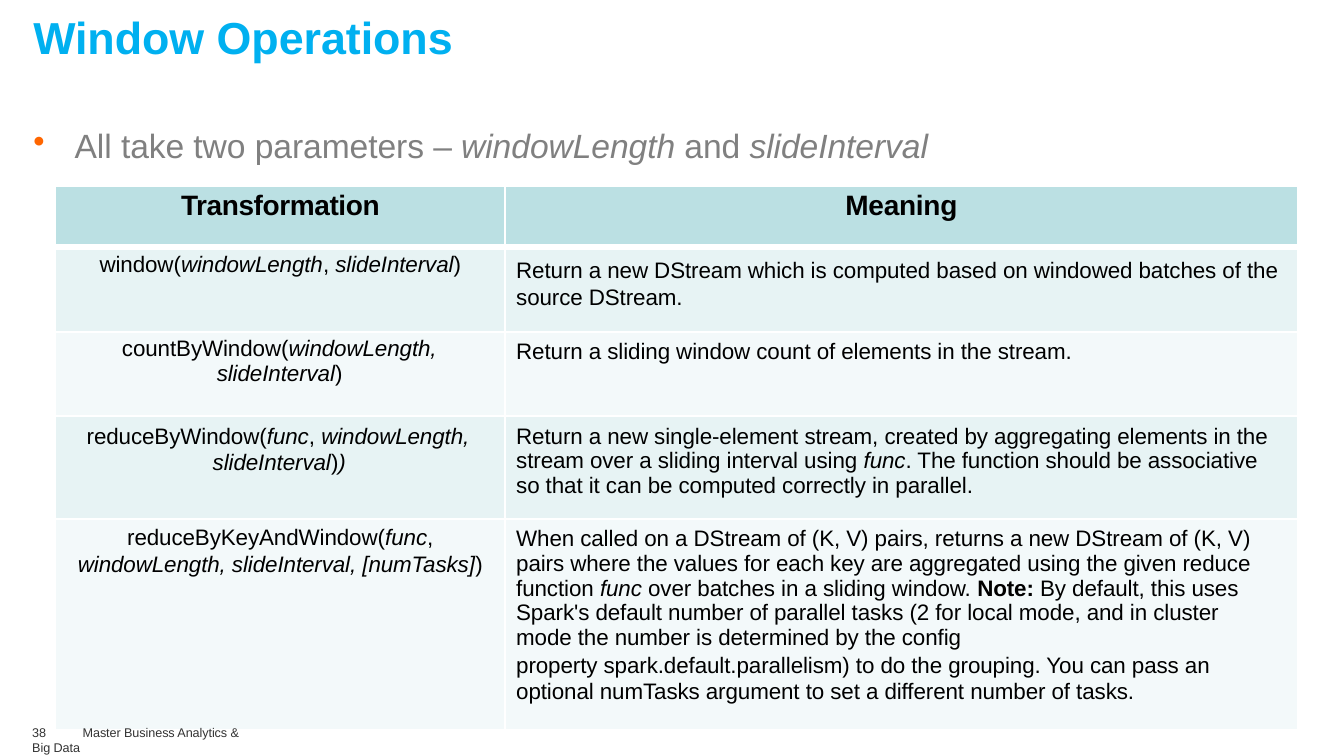
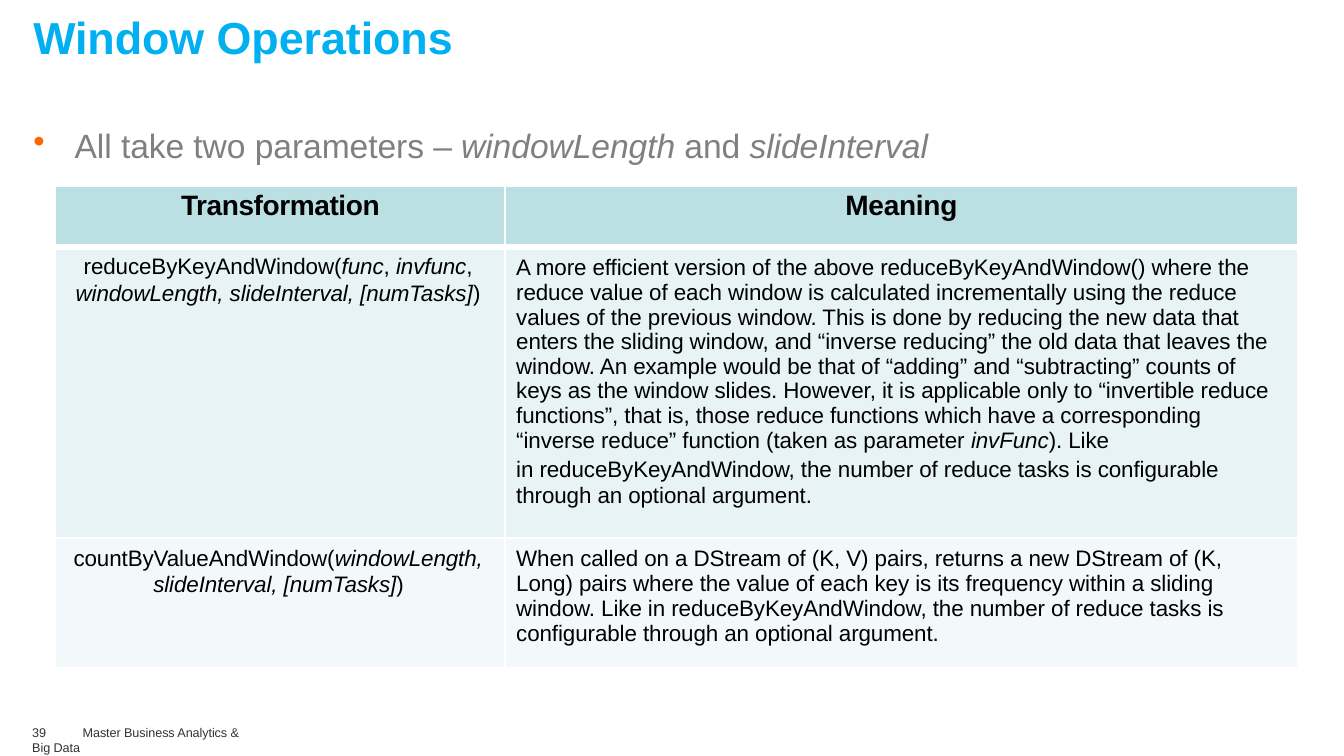
from dataclasses import dataclass

from lxml.etree import SubElement
from pptx import Presentation
from pptx.dml.color import RGBColor
from pptx.enum.text import PP_ALIGN as Align
from pptx.oxml.ns import qn
from pptx.util import Inches, Length, Pt


@dataclass(frozen=True)
class Theme:
    font: str = "Arial"
    title: str = "00B0F0"
    lead: str = "808080"
    bullet: str = "FF6600"
    body: str = "000000"
    footer: str = "333333"
    header_fill: str = "BBE0E3"
    row_fills: tuple[str, str] = ("E7F3F4", "F3F9FA")
    border: str = "FFFFFF"
    title_size: float = 32
    lead_size: float = 24
    header_size: float = 20
    body_size: float = 16
    footer_size: float = 9
    thin: float = 1.5
    thick: float = 4.25


THEME = Theme()
EXACT = Pt(19)


@dataclass(frozen=True)
class Line:
    """A paragraph; *stars* mark italic and _underscores_ mark bold text."""
    text: str
    spacing: float | Length | None = None
    before: float = 0


@dataclass(frozen=True)
class Cell:
    lines: tuple[Line, ...]
    top: float
    left: float = 0
    first: float = 0
    right: float = 0
    align: Align = Align.LEFT


@dataclass(frozen=True)
class Row:
    height: float
    transformation: Cell
    meaning: Cell


@dataclass(frozen=True)
class Page:
    number: int
    rows: tuple[Row, ...]


def call(*lines: Line, top: float = 0.05, left: float = 0, first: float = 0) -> Cell:
    """A signature: centred unless it has its own indent."""
    return Cell(lines, top, left, first, align=Align.LEFT if left else Align.CENTER)


def meaning(*lines: Line, top: float = 0.08, right: float = 0.2) -> Cell:
    return Cell(lines, top, left=0.11, right=right)


PAGES = (
    Page(38, (
        Row(0.84, call(Line("window(*windowLength*, *slideInterval*)")),
            meaning(Line("Return a new DStream which is computed based on windowed batches "
                         "of the source DStream.", EXACT), top=0.1, right=0.1)),
        Row(0.84, call(Line("countByWindow(*windowLength, slideInterval*)"),
                       left=1.6, first=-0.94),
            meaning(Line("Return a sliding window count of elements in the stream."))),
        Row(1.02, call(Line("reduceByWindow(*func*, *windowLength, slideInterval*)*)*", EXACT),
                       top=0.06, left=1.56, first=-1.25),
            meaning(Line("Return a new single-element stream, created by aggregating elements "
                         "in the stream over a sliding interval using *func*. The function "
                         "should be associative so that it can be computed correctly in "
                         "parallel.", 0.99))),
        Row(2.09, call(Line("reduceByKeyAndWindow(*func*,", EXACT),
                       Line("*windowLength, slideInterval, [numTasks]*)", EXACT)),
            meaning(Line("When called on a DStream of (K, V) pairs, returns a new DStream of "
                         "(K, V) pairs where the values for each key are aggregated using the "
                         "given reduce function *func* over batches in a sliding window. "
                         "_Note:_ By default, this uses Spark's default number of parallel "
                         "tasks (2 for local mode, and in cluster mode the number is "
                         "determined by the config", 0.99),
                    Line("property spark.default.parallelism) to do the grouping. You can pass "
                         "an optional numTasks argument to set a different number of tasks.",
                         EXACT, before=0.6))),
    )),
    Page(39, (
        Row(2.89, call(Line("reduceByKeyAndWindow(*func*, *invfunc*, "
                            "*windowLength, slideInterval, [numTasks]*)", EXACT),
                       top=0.06, left=0.2, first=0.08),
            meaning(Line("A more efficient version of the above reduceByKeyAndWindow() where "
                         "the reduce value of each window is calculated incrementally using "
                         "the reduce values of the previous window. This is done by reducing "
                         "the new data that enters the sliding window, and “inverse reducing” "
                         "the old data that leaves the window. An example would be that of "
                         "“adding” and “subtracting” counts of keys as the window slides. "
                         "However, it is applicable only to “invertible reduce functions”, "
                         "that is, those reduce functions which have a corresponding “inverse "
                         "reduce” function (taken as parameter *invFunc*). Like", 0.99),
                    Line("in reduceByKeyAndWindow, the number of reduce tasks is configurable "
                         "through an optional argument.", EXACT, before=1.5), top=0.09)),
        Row(1.29, call(Line("countByValueAndWindow(*windowLength, slideInterval, "
                            "[numTasks]*)", EXACT), top=0.06, left=0.97, first=-0.79),
            meaning(Line("When called on a DStream of (K, V) pairs, returns a new DStream of "
                         "(K, Long) pairs where the value of each key is its frequency within "
                         "a sliding window. Like in reduceByKeyAndWindow, the number of reduce "
                         "tasks is configurable through an optional argument.", 1.0))),
    )),
)


def write(paragraph, line: Line, *, size: float, color: str, bold: bool = False,
          tracking: float = -0.05, align: Align = Align.LEFT, left: float = 0,
          first: float = 0, bullet: str = "", tab: float = 0) -> None:
    properties = paragraph._p.get_or_add_pPr()
    properties.set("marL", str(Inches(left)))
    properties.set("indent", str(Inches(first)))
    if bullet:
        bullet_color = SubElement(properties, qn("a:buClr"))
        SubElement(bullet_color, qn("a:srgbClr"), val=THEME.bullet)
        SubElement(properties, qn("a:buChar"), char=bullet)
    if tab:
        tabs = SubElement(properties, qn("a:tabLst"))
        SubElement(tabs, qn("a:tab"), pos=str(Inches(tab)), algn="l")
    paragraph.alignment = align
    if line.spacing is not None:
        paragraph.line_spacing = line.spacing
    if line.before:
        paragraph.space_before = Pt(line.before)
    for part, section in enumerate(line.text.split("*")):
        for piece, text in enumerate(section.split("_")):
            if not text:
                continue
            run = paragraph.add_run()
            run.text = text
            run.font.name = THEME.font
            run.font.size = Pt(size)
            run.font.color.rgb = RGBColor.from_string(color)
            run.font.italic = part % 2 == 1
            run.font.bold = bold or piece % 2 == 1
            run._r.get_or_add_rPr().set("spc", str(round(tracking * 100)))


def add_text(slide, text: str, left: float, top: float, width: float, height: float,
             *, inset: float = 0, indent: float = 0, **style) -> None:
    box = slide.shapes.add_textbox(*map(Inches, (left, top, width, height)))
    frame = box.text_frame
    frame.word_wrap = True
    frame.margin_left = frame.margin_right = frame.margin_bottom = 0
    frame.margin_top = Inches(inset)
    write(frame.paragraphs[0], Line(text), left=indent, **style)


def set_borders(cell, top: float, bottom: float) -> None:
    properties = cell._tc.get_or_add_tcPr()
    for side, width in zip("LRTB", (THEME.thin, THEME.thin, top, bottom)):
        border = SubElement(properties, qn(f"a:ln{side}"), w=str(Pt(width)))
        fill = SubElement(border, qn("a:solidFill"))
        SubElement(fill, qn("a:srgbClr"), val=THEME.border)


def fill_cell(cell, content: Cell, fill: str, *, top: float, bottom: float, **style) -> None:
    set_borders(cell, top, bottom)
    cell.fill.solid()
    cell.fill.fore_color.rgb = RGBColor.from_string(fill)
    cell.margin_left = cell.margin_bottom = 0
    cell.margin_top = Inches(content.top)
    cell.margin_right = Inches(content.right)
    frame = cell.text_frame
    for index, line in enumerate(content.lines):
        paragraph = frame.add_paragraph() if index else frame.paragraphs[0]
        write(paragraph, line, color=THEME.body, align=content.align,
              left=content.left, first=content.first, **style)


def add_operations_table(slide, rows: tuple[Row, ...]) -> None:
    heights = [0.6, *(row.height for row in rows)]
    widths = (4.46, 7.86)
    table = slide.shapes.add_table(
        len(heights), len(widths), Inches(0.55), Inches(1.85),
        Inches(sum(widths)), Inches(sum(heights))).table
    table.horz_banding = False
    for column, width in zip(table.columns, widths):
        column.width = Inches(width)
    for table_row, height in zip(table.rows, heights):
        table_row.height = Inches(height)
    headings = (("Transformation", -0.3), ("Meaning", -0.2))
    for column, (heading, tracking) in enumerate(headings):
        fill_cell(table.cell(0, column), call(Line(heading), top=0.04), THEME.header_fill,
                  top=THEME.thin, bottom=THEME.thick, size=THEME.header_size,
                  bold=True, tracking=tracking)
    for index, row in enumerate(rows):
        for column, content in enumerate((row.transformation, row.meaning)):
            fill_cell(table.cell(index + 1, column), content, THEME.row_fills[index % 2],
                      top=THEME.thin if index else THEME.thick, bottom=THEME.thin,
                      size=THEME.body_size)


def add_page(presentation, page: Page) -> None:
    slide = presentation.slides.add_slide(presentation.slide_layouts[6])
    add_text(slide, "Window Operations", 0.32, 0.06, 4.29, 0.56, inset=0.04,
             indent=0.01, size=THEME.title_size, color=THEME.title, bold=True)
    add_text(slide, "All take two parameters – *windowLength* and *slideInterval*",
             0.32, 1.21, 8.95, 0.43, inset=0.03, indent=0.42, first=-0.41,
             bullet="•", size=THEME.lead_size, color=THEME.lead)
    add_operations_table(slide, page.rows)
    add_text(slide, f"{page.number}\tMaster Business Analytics & Big Data",
             0.28, 7.19, 2.3, 0.17, indent=0.04, tab=0.34,
             size=THEME.footer_size, color=THEME.footer)


def main() -> None:
    presentation = Presentation()
    presentation.slide_width = Inches(13.33)
    presentation.slide_height = Inches(7.5)
    for page in PAGES:
        add_page(presentation, page)
    presentation.save("out.pptx")


if __name__ == "__main__":
    main()
